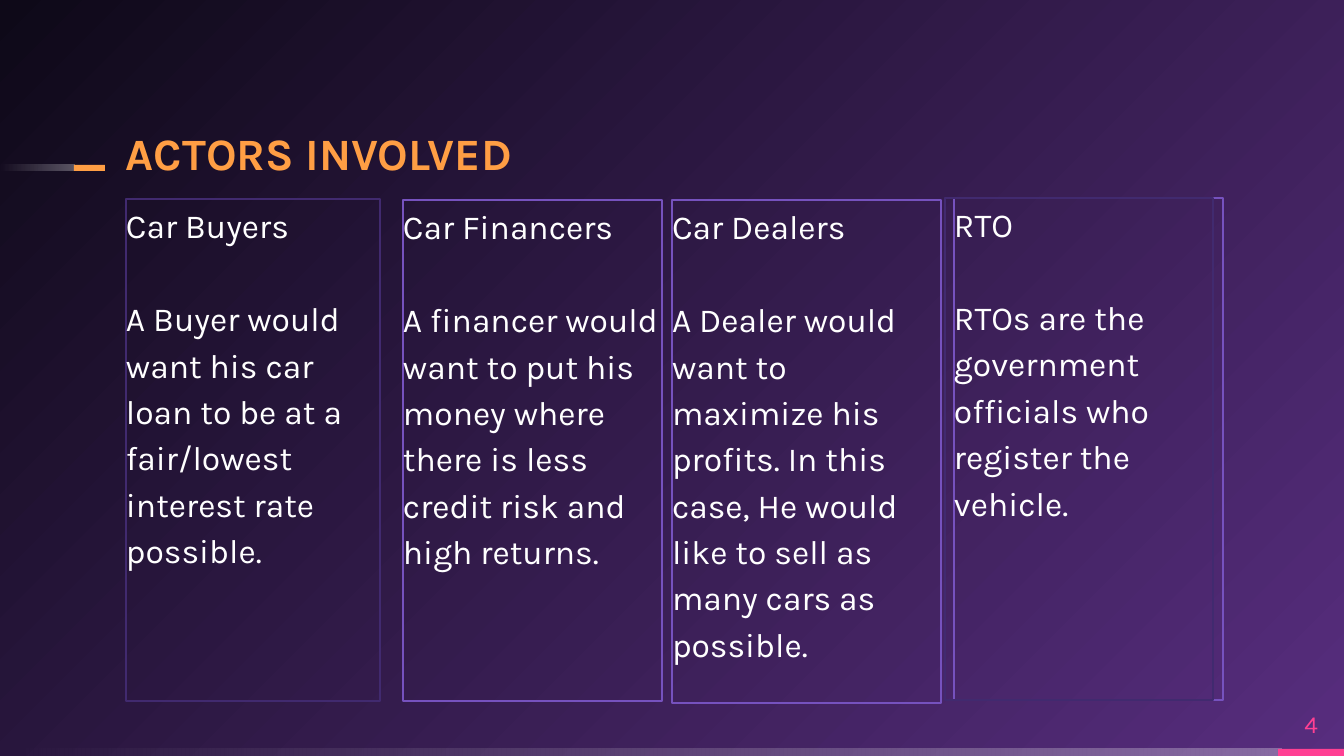
from dataclasses import dataclass

from lxml.etree import SubElement
from pptx import Presentation
from pptx.dml.color import RGBColor
from pptx.enum.shapes import MSO_SHAPE as Preset
from pptx.enum.text import MSO_ANCHOR as Anchor, MSO_AUTO_SIZE as AutoSize, PP_ALIGN as Align
from pptx.oxml.ns import qn
from pptx.util import Pt

EMU_PER_PX = 914400 / 134.4


@dataclass(frozen=True)
class Theme:
    font: str = "Karla"
    white: str = "FFFFFF"
    orange: str = "FF9E44"
    pink: str = "FF4093"
    violet: str = "7652BE"
    dim_violet: str = "412A6F"
    glow: str = "572D7E"
    night: str = "0E0918"
    title_size: int = 24
    body_size: int = 18
    number_size: int = 13
    heading_gap: int = 25
    outline: float = 0.75


@dataclass(frozen=True)
class Area:
    left: int
    top: int
    width: int
    height: int


@dataclass(frozen=True)
class Actor:
    name: str
    role: str
    area: Area
    line: str


@dataclass(frozen=True)
class Stop:
    position: int
    color: str
    opacity: int = 100


THEME = Theme()
FADE = [Stop(0, THEME.white, 30), Stop(100, THEME.white, 0)]
ACTORS = [
    Actor("Car Buyers",
          "A Buyer would want his car loan to be at a fair/lowest interest rate possible.",
          Area(126, 199, 254, 502), THEME.dim_violet),
    Actor("Car Financers",
          "A financer would want to put his money where there is less credit risk and high returns.",
          Area(403, 200, 259, 501), THEME.violet),
    Actor("Car Dealers",
          "A Dealer would want to maximize his profits. In this case, He would like to sell as "
          "many cars as possible.",
          Area(672, 200, 269, 503), THEME.violet),
    Actor("RTO",
          "RTOs are the government officials who register the vehicle.",
          Area(954, 198, 269, 502), THEME.violet),
]


def px(length: int) -> int:
    return round(length * EMU_PER_PX)


def place(shape, area: Area) -> None:
    shape.left, shape.top = px(area.left), px(area.top)
    shape.width, shape.height = px(area.width), px(area.height)


def set_gradient(properties, stops: list[Stop], angle: int | None = None) -> None:
    solid = properties.find(qn("a:solidFill"))
    gradient = properties.makeelement(qn("a:gradFill"), {"rotWithShape": "1"})
    properties.replace(solid, gradient)
    stop_list = SubElement(gradient, qn("a:gsLst"))
    for stop in stops:
        entry = SubElement(stop_list, qn("a:gs"), pos=str(stop.position * 1000))
        color = SubElement(entry, qn("a:srgbClr"), val=stop.color)
        if stop.opacity < 100:
            SubElement(color, qn("a:alpha"), val=str(stop.opacity * 1000))
    if angle is None:
        circle = SubElement(gradient, qn("a:path"), path="circle")
        SubElement(circle, qn("a:fillToRect"), l="100000", t="100000")
    else:
        SubElement(gradient, qn("a:lin"), ang=str(angle * 60000), scaled="0")


def set_outline(shape, color: str) -> None:
    shape.line.color.rgb = RGBColor.from_string(color)
    shape.line.width = Pt(THEME.outline)


def add_rectangle(page, area: Area):
    shape = page.shapes.add_shape(Preset.RECTANGLE, 0, 0, 0, 0)
    place(shape, area)
    shape.shadow.inherit = False
    return shape


def add_bar(page, area: Area, color: str | None = None) -> None:
    bar = add_rectangle(page, area)
    bar.line.fill.background()
    bar.fill.solid()
    if color:
        bar.fill.fore_color.rgb = RGBColor.from_string(color)
    else:
        set_gradient(bar.element.spPr, FADE, angle=180)


def write(box, lines: list[str], *, size: int, color: str, bold: bool = False,
          align: Align = Align.LEFT, anchor: Anchor = Anchor.TOP,
          spacing: float = 1.0, gap: int = 0) -> None:
    frame = box.text_frame
    frame.word_wrap = True
    frame.auto_size = AutoSize.NONE
    frame.vertical_anchor = anchor
    frame.margin_left = frame.margin_top = frame.margin_right = frame.margin_bottom = 0
    for index, line in enumerate(lines):
        para = frame.add_paragraph() if index else frame.paragraphs[0]
        para.alignment = align
        para.line_spacing = spacing
        para.space_before = Pt(gap if index else 0)
        para.space_after = Pt(0)
        properties = para._p.get_or_add_pPr()
        properties.set("marL", "0")
        properties.set("indent", "0")
        SubElement(properties, qn("a:buNone"))
        span = para.add_run()
        span.text = line
        span.font.name = THEME.font
        span.font.size = Pt(size)
        span.font.bold = bold
        span.font.color.rgb = RGBColor.from_string(color)


def add_actor(box, actor: Actor) -> None:
    place(box, actor.area)
    set_outline(box, actor.line)
    write(box, [actor.name, actor.role], size=THEME.body_size, color=THEME.white,
          spacing=1.15, gap=THEME.heading_gap)


def main() -> None:
    deck = Presentation()
    deck.slide_width, deck.slide_height = px(1344), px(756)
    page = deck.slides.add_slide(deck.slide_layouts.get_by_name("Comparison"))
    title, *bodies = page.placeholders

    page.background.fill.solid()
    set_gradient(page.element.find(".//" + qn("p:bgPr")),
                 [Stop(0, THEME.glow), Stop(100, THEME.night)])

    add_bar(page, Area(0, 749, 1282, 7))
    add_bar(page, Area(1278, 749, 66, 7), THEME.pink)
    add_bar(page, Area(0, 165, 75, 6))
    add_bar(page, Area(74, 165, 31, 6), THEME.orange)

    place(title, Area(126, 122, 1093, 58))
    write(title, ["ACTORS INVOLVED"], size=THEME.title_size, color=THEME.orange,
          bold=True, anchor=Anchor.BOTTOM, spacing=0.9)

    for body, actor in zip(bodies, ACTORS):
        add_actor(body, actor)

    number = page.shapes.add_textbox(0, 0, 0, 0)
    place(number, Area(1278, 698, 66, 51))
    write(number, ["4"], size=THEME.number_size, color=THEME.pink,
          align=Align.CENTER, anchor=Anchor.MIDDLE)

    frame = add_rectangle(page, Area(945, 198, 268, 502))
    frame.fill.background()
    set_outline(frame, THEME.dim_violet)

    deck.save("out.pptx")


if __name__ == "__main__":
    main()
